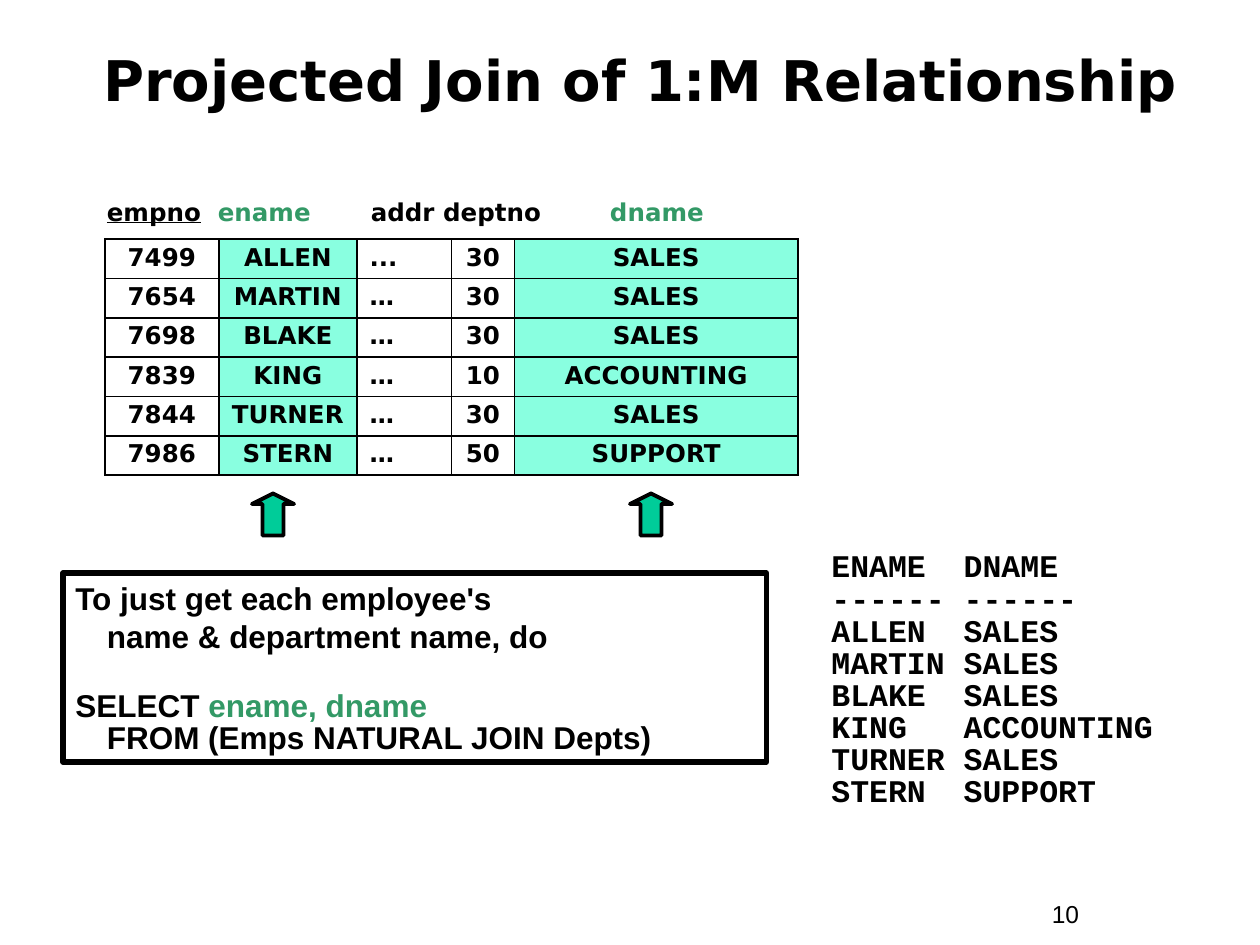
import pptx
import pptx.dml.color
import pptx.enum.shapes
import pptx.enum.text
import pptx.oxml
import pptx.oxml.ns
import pptx.util

Pt = pptx.util.Pt
ALIGN = pptx.enum.text.PP_ALIGN
SHAPE = pptx.enum.shapes.MSO_SHAPE
HUES = {"ink": "000000", "word": "339966", "cell": "89FFE0", "arrow": "00CC99"}
SANS, ARIAL, MONO = "DejaVu Sans", "Arial", "Courier New"

STAFF = [
    ("7499", "ALLEN", "...", "30", "SALES"),
    ("7654", "MARTIN", "…", "30", "SALES"),
    ("7698", "BLAKE", "…", "30", "SALES"),
    ("7839", "KING", "…", "10", "ACCOUNTING"),
    ("7844", "TURNER", "…", "30", "SALES"),
    ("7986", "STERN", "…", "50", "SUPPORT"),
]
WIDTHS = (65, 79, 54, 36, 162)
ROW = 22.5
NAME, ADDR, DEPT = 1, 2, 4


def shade(name):
    return pptx.dml.color.RGBColor.from_string(HUES[name])


def write(para, text, face, size, hue="ink", bold=True):
    run = para.add_run()
    run.text = text
    font = run.font
    font.name, font.size, font.bold = face, Pt(size), bold
    font.color.rgb = shade(hue)
    return run


def set_tabs(para, stops):
    props = para._p.get_or_add_pPr()
    tabs = pptx.oxml.parse_xml(f"<a:tabLst {pptx.oxml.ns.nsdecls('a')}/>")
    for stop in stops:
        tab = tabs.makeelement(pptx.oxml.ns.qn("a:tab"))
        tab.set("pos", str(Pt(stop)))
        tab.set("algn", "l")
        tabs.append(tab)
    props.append(tabs)


def add_text(slide, left, top, width, height):
    frame = slide.shapes.add_textbox(Pt(left), Pt(top), Pt(width), Pt(height)).text_frame
    frame.word_wrap = True
    return frame


def add_shape(slide, kind, left, top, width, height, line, fill=None):
    shape = slide.shapes.add_shape(kind, Pt(left), Pt(top), Pt(width), Pt(height))
    shape.shadow.inherit = False
    if fill:
        shape.fill.solid()
        shape.fill.fore_color.rgb = shade(fill)
    else:
        shape.fill.background()
    shape.line.color.rgb = shade("ink")
    shape.line.width = Pt(line)
    return shape


def add_title(slide):
    title = slide.shapes.title
    title.left, title.top, title.width, title.height = Pt(30), Pt(24), Pt(672), Pt(42)
    frame = title.text_frame
    frame.auto_size = pptx.enum.text.MSO_AUTO_SIZE.NONE
    frame.vertical_anchor = pptx.enum.text.MSO_ANCHOR.MIDDLE
    para = frame.paragraphs[0]
    para.alignment = ALIGN.CENTER
    write(para, "Projected Join of 1:M Relationship", SANS, 32)


def add_heads(slide):
    """Column names above the table, with the projected ones in green."""
    para = add_text(slide, 54, 109, 390, 24.5).paragraphs[0]
    set_tabs(para, (63.4, 150.8, 287.5))
    write(para, "empno", SANS, 14).font.underline = True
    for text, hue in (("ename", "word"), ("addr deptno", "ink"), ("dname", "word")):
        write(para, "\t", SANS, 14)
        write(para, text, SANS, 14, hue)


def edge_cell(cell):
    """Thin black line on all four sides."""
    props = cell._tc.get_or_add_tcPr()
    for side in "LRTB":
        props.append(pptx.oxml.parse_xml(
            f'<a:ln{side} {pptx.oxml.ns.nsdecls("a")} w="{Pt(1.08)}"><a:solidFill>'
            f'<a:srgbClr val="{HUES["ink"]}"/></a:solidFill></a:ln{side}>'))


def add_staff(slide):
    table = slide.shapes.add_table(
        len(STAFF), len(WIDTHS), Pt(60), Pt(136.6),
        Pt(sum(WIDTHS)), Pt(ROW * len(STAFF))).table
    table.first_row = table.horz_banding = False
    for col, width in zip(table.columns, WIDTHS):
        col.width = Pt(width)
    for row, texts in zip(table.rows, STAFF):
        row.height = Pt(ROW)
        for index, (cell, text) in enumerate(zip(row.cells, texts)):
            edge_cell(cell)
            if index in (NAME, DEPT):
                cell.fill.solid()
                cell.fill.fore_color.rgb = shade("cell")
            else:
                cell.fill.background()
            para = cell.text_frame.paragraphs[0]
            para.alignment = ALIGN.LEFT if index == ADDR else ALIGN.CENTER
            para.line_spacing = 0.9
            write(para, text, SANS, 14)


def add_query(slide):
    box = add_shape(slide, SHAPE.RECTANGLE, 36, 327.5, 402, 108, 3)
    frame = box.text_frame
    frame.word_wrap = True
    frame.vertical_anchor = pptx.enum.text.MSO_ANCHOR.TOP
    task, code = frame.paragraphs[0], frame.add_paragraph()
    for para in (task, code):
        para.alignment = ALIGN.LEFT
        props = para._p.get_or_add_pPr()
        props.set("marL", str(Pt(18)))
        props.set("indent", str(Pt(-18)))
    write(task, "To just get each employee's", ARIAL, 18)
    task.add_line_break()
    write(task, "name & department name, do", ARIAL, 18)
    code.line_spacing = 0.85
    code.space_before = Pt(21)
    write(code, "SELECT ", ARIAL, 18)
    write(code, "ename, dname", ARIAL, 18, "word")
    code.add_line_break()
    write(code, "FROM (Emps NATURAL JOIN Depts)", ARIAL, 18)


def add_result(slide):
    """Query output: the name and department of each employee."""
    frame = add_text(slide, 468, 312, 210, 154)
    pairs = [("ENAME", "DNAME"), ("-" * 6, "-" * 6)]
    pairs += [(row[NAME], row[DEPT]) for row in STAFF]
    for index, pair in enumerate(pairs):
        para = frame.add_paragraph() if index else frame.paragraphs[0]
        para.line_spacing = 0.85
        set_tabs(para, (75.6,))
        write(para, "\t".join(pair), MONO, 18)


def main():
    deck = pptx.Presentation()
    deck.slide_width, deck.slide_height = Pt(720), Pt(540)
    slide = deck.slides.add_slide(deck.slide_layouts[5])
    write(add_text(slide, 594, 510, 66, 24.5).paragraphs[0], "10", ARIAL, 14, bold=False)
    add_title(slide)
    add_query(slide)
    add_result(slide)
    add_heads(slide)
    add_staff(slide)
    for left in (144, 360):
        arrow = add_shape(slide, SHAPE.UP_ARROW, left, 282, 24, 24, 2.25, "arrow")
        arrow.adjustments[0], arrow.adjustments[1] = 0.5, 0.25
    deck.save("out.pptx")


if __name__ == "__main__":
    main()
